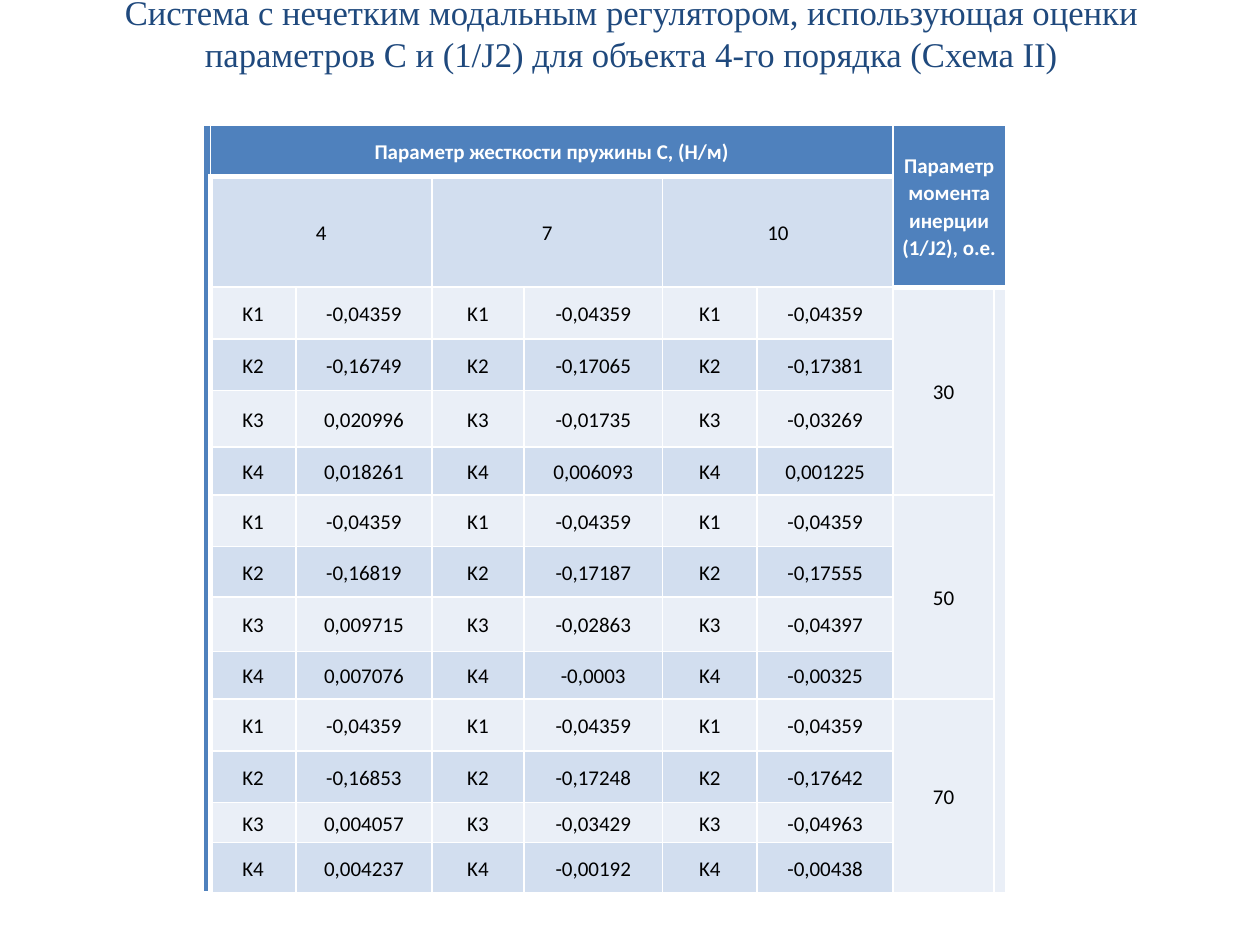
from lxml.etree import SubElement
from pptx import Presentation
from pptx.dml.color import RGBColor
from pptx.enum.text import MSO_ANCHOR, MSO_AUTO_SIZE, PP_ALIGN
from pptx.oxml.ns import qn
from pptx.util import Inches, Pt

# Content
TITLE = ("Система с нечетким модальным регулятором, использующая оценки "
         "параметров С и (1/J2) для объекта 4-го порядка (Схема II)")
STIFFNESS_HEADER = "Параметр жесткости пружины C, (Н/м)"
INERTIA_HEADER = "Параметр момента инерции (1/J2), о.е."
STIFFNESS = ["4", "7", "10"]
GAINS = ["K1", "K2", "K3", "K4"]
# Inertia value, then one row per gain with one value per stiffness
BLOCKS = [
    ("30", [("-0,04359", "-0,04359", "-0,04359"),
            ("-0,16749", "-0,17065", "-0,17381"),
            ("0,020996", "-0,01735", "-0,03269"),
            ("0,018261", "0,006093", "0,001225")]),
    ("50", [("-0,04359", "-0,04359", "-0,04359"),
            ("-0,16819", "-0,17187", "-0,17555"),
            ("0,009715", "-0,02863", "-0,04397"),
            ("0,007076", "-0,0003", "-0,00325")]),
    ("70", [("-0,04359", "-0,04359", "-0,04359"),
            ("-0,16853", "-0,17248", "-0,17642"),
            ("0,004057", "-0,03429", "-0,04963"),
            ("0,004237", "-0,00192", "-0,00438")]),
]
COLUMN_WIDTHS = [0.05, 0.68, 1.08, 0.73, 1.1, 0.75, 1.08, 0.8, 0.09]
ROW_HEIGHTS = [0.41, 0.41, 0.41, 0.41, 0.45, 0.38, 0.41,
               0.4, 0.43, 0.38, 0.41, 0.41, 0.32, 0.4]
HEADER_ROWS = 2
INERTIA_COLUMN, EDGE_COLUMN = 7, 8
LAST_ROW = len(ROW_HEIGHTS) - 1

NAVY, BLUE, WHITE, BLACK = "1F497D", "4F81BD", "FFFFFF", "000000"
BANDS = ["EAEFF7", "D2DEEF"]


def color(hex_value):
    return RGBColor.from_string(hex_value)


def set_font(font, name, size, hex_value, bold=False):
    font.name, font.size, font.bold = name, Pt(size), bold
    font.color.rgb = color(hex_value)


def is_header(row, column):
    return row == 0 or column == 0 or (row < HEADER_ROWS and column >= INERTIA_COLUMN)


def cell_fill(row, column):
    if is_header(row, column):
        return BLUE
    return BANDS[0] if column >= INERTIA_COLUMN else BANDS[row % 2]


def border_widths(row, column):
    """Thick lines part the header cells from the body cells."""
    header = is_header(row, column)
    widths = {}
    for side, down, right in (("L", 0, -1), ("R", 0, 1), ("T", -1, 0), ("B", 1, 0)):
        near_row, near_column = row + down, column + right
        inside = 0 <= near_row <= LAST_ROW and 0 <= near_column <= EDGE_COLUMN
        parted = inside and header != is_header(near_row, near_column)
        thick = parted and not (column == 0 and side == "R")
        widths[side] = 3 if thick or (column == 0 and side == "B") else 1
    return widths


def style_cell(cell, row, column):
    properties = cell._tc.get_or_add_tcPr()
    for side, width in border_widths(row, column).items():
        line = SubElement(properties, qn(f"a:ln{side}"), w=str(Pt(width)))
        fill = SubElement(line, qn("a:solidFill"))
        SubElement(fill, qn("a:srgbClr"), val=WHITE)
    cell.fill.solid()
    cell.fill.fore_color.rgb = color(cell_fill(row, column))
    cell.margin_left = cell.margin_right = cell.margin_top = Inches(0.01)
    cell.margin_bottom = 0
    cell.vertical_anchor = MSO_ANCHOR.MIDDLE


def write(cell, text, hex_value=BLACK, bold=False):
    cell.text = text
    para = cell.text_frame.paragraphs[0]
    para.alignment = PP_ALIGN.CENTER
    para.line_spacing, para.space_after = 1.07, Pt(8)
    set_font(para.font, "Calibri", 12, hex_value, bold)


deck = Presentation()
deck.slide_width, deck.slide_height = Inches(10), Inches(7.5)
page = deck.slides.add_slide(deck.slide_layouts[5])

# Title
title = page.shapes.title
title.left, title.top = Inches(0.51), Inches(0)
title.width, title.height = Inches(9), Inches(0.52)
frame = title.text_frame
frame.text = TITLE
frame.word_wrap = True
frame.auto_size = MSO_AUTO_SIZE.NONE
frame.vertical_anchor = MSO_ANCHOR.MIDDLE
frame.paragraphs[0].alignment = PP_ALIGN.CENTER
set_font(frame.paragraphs[0].font, "Times New Roman", 19.8, NAVY)

# Table grid
table = page.shapes.add_table(
    len(ROW_HEIGHTS), len(COLUMN_WIDTHS), Inches(1.61), Inches(0.99),
    Inches(sum(COLUMN_WIDTHS)), Inches(sum(ROW_HEIGHTS))).table
table.first_row = table.horz_banding = False
for column, width in enumerate(COLUMN_WIDTHS):
    table.columns[column].width = Inches(width)
for row, height in enumerate(ROW_HEIGHTS):
    table.rows[row].height = Inches(height)
    for column in range(len(COLUMN_WIDTHS)):
        style_cell(table.cell(row, column), row, column)

# Header cells and the empty edge columns
table.cell(0, 0).merge(table.cell(LAST_ROW, 0))
table.cell(HEADER_ROWS, EDGE_COLUMN).merge(table.cell(LAST_ROW, EDGE_COLUMN))
table.cell(0, 1).merge(table.cell(0, INERTIA_COLUMN - 1))
table.cell(0, INERTIA_COLUMN).merge(table.cell(1, EDGE_COLUMN))
write(table.cell(0, 1), STIFFNESS_HEADER, WHITE, True)
write(table.cell(0, INERTIA_COLUMN), INERTIA_HEADER, WHITE, True)
for index, stiffness in enumerate(STIFFNESS):
    column = 1 + 2 * index
    table.cell(1, column).merge(table.cell(1, column + 1))
    write(table.cell(1, column), stiffness)

# Gain values, one block per inertia value
for block, (inertia, rows) in enumerate(BLOCKS):
    top = HEADER_ROWS + block * len(GAINS)
    table.cell(top, INERTIA_COLUMN).merge(
        table.cell(top + len(GAINS) - 1, INERTIA_COLUMN))
    write(table.cell(top, INERTIA_COLUMN), inertia)
    for row, (gain, values) in enumerate(zip(GAINS, rows), top):
        for index, value in enumerate(values):
            write(table.cell(row, 1 + 2 * index), gain)
            write(table.cell(row, 2 + 2 * index), value)

deck.save("out.pptx")
